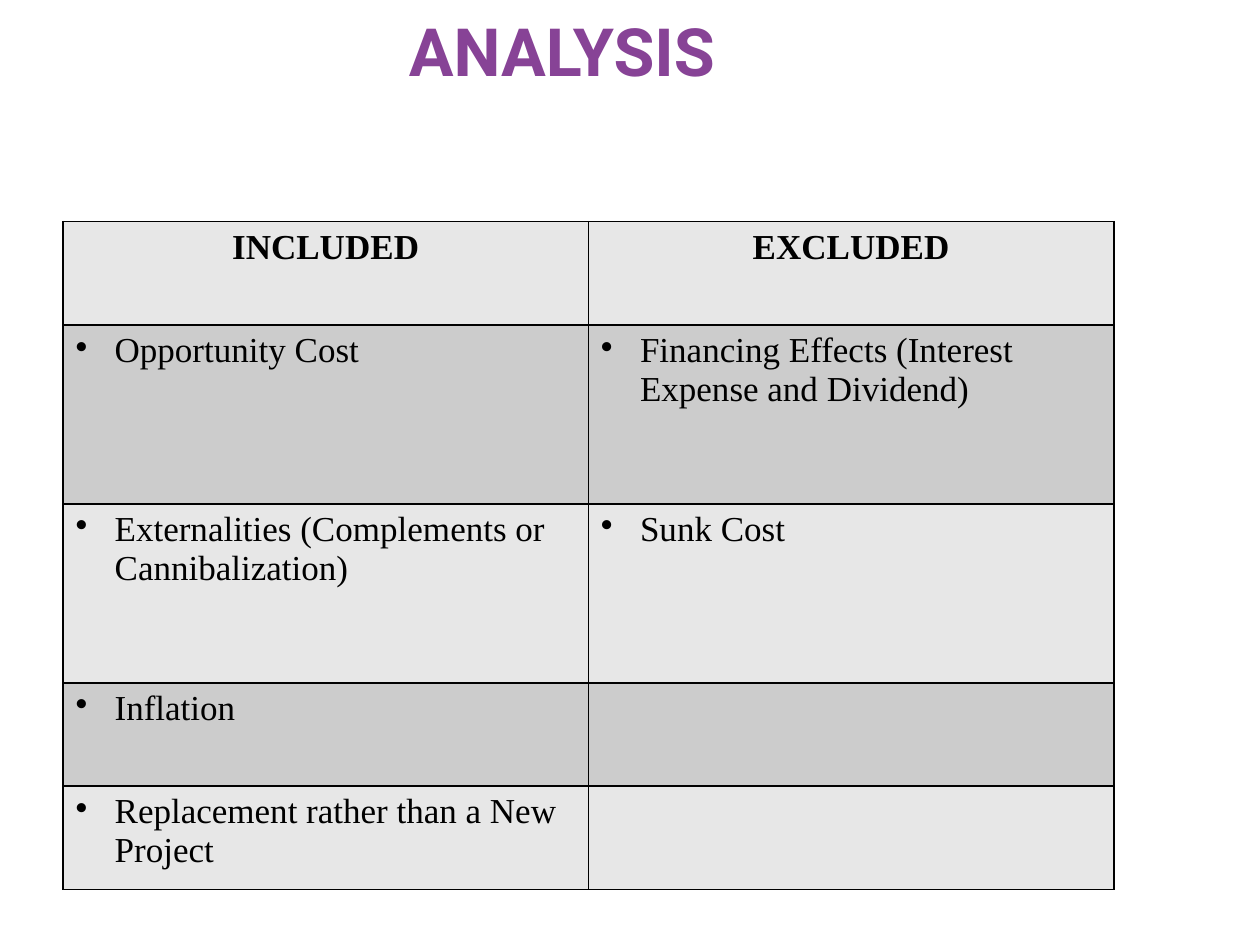
"""Build the ANALYSIS slide with its table of included and excluded items."""
from lxml import etree
from pptx import Presentation, util as u
from pptx.dml.color import RGBColor
from pptx.enum import text
from pptx.oxml.ns import qn

HEAD = "ANALYSIS"
ROWS = [
    (0.82, "INCLUDED", "EXCLUDED"),
    (1.42, "Opportunity Cost", "Financing Effects (Interest Expense and Dividend)"),
    (1.42, "Externalities (Complements or Cannibalization)", "Sunk Cost"),
    (0.82, "Inflation", ""),
    (0.82, "Replacement rather than a New Project", ""),
]
COLORS = {"title": "874396", "ink": "000000", "light": "E7E7E7", "dark": "CCCCCC"}
WIDE = 4.17


def style(para, face, size, color, bold):
    font = para.font
    font.name, font.size, font.bold = face, u.Pt(size), bold
    font.color.rgb = RGBColor.from_string(COLORS[color])


def bullet(para):
    props = para._p.get_or_add_pPr()
    props.set("marL", str(u.Inches(0.31)))
    props.set("indent", str(u.Inches(-0.31)))
    mark = etree.Element(qn("a:buChar"), char="•")
    props.insert(0, mark)


def border(cell):
    props = cell._tc.get_or_add_tcPr()
    for spot, side in enumerate("LRTB"):
        line = etree.Element(qn("a:ln" + side), w=str(u.Pt(1)))
        fill = etree.SubElement(line, qn("a:solidFill"))
        etree.SubElement(fill, qn("a:srgbClr"), val=COLORS["ink"])
        props.insert(spot, line)


def title(slide):
    box = slide.shapes.add_textbox(*map(u.Inches, (0.5, -0.02, 7.92, 0.73)))
    frame = box.text_frame
    frame.word_wrap = True
    frame.vertical_anchor = text.MSO_ANCHOR.BOTTOM
    frame.margin_left = frame.margin_right = u.Inches(0.05)
    frame.margin_top = frame.margin_bottom = 0
    para = frame.paragraphs[0]
    para.text = HEAD
    para.alignment = text.PP_ALIGN.CENTER
    style(para, "Roboto", 38, "title", True)


def grid(slide):
    tall = sum(row[0] for row in ROWS)
    area = map(u.Inches, (0.5, 1.76, 2 * WIDE, tall))
    table = slide.shapes.add_table(len(ROWS), 2, *area).table
    for col in table.columns:
        col.width = u.Inches(WIDE)
    for r, (high, *words) in enumerate(ROWS):
        table.rows[r].height = u.Inches(high)
        for c, word in enumerate(words):
            cell = table.cell(r, c)
            cell.fill.solid()
            tone = COLORS["dark" if r % 2 else "light"]
            cell.fill.fore_color.rgb = RGBColor.from_string(tone)
            border(cell)
            para = cell.text_frame.paragraphs[0]
            para.text = word
            style(para, "Times New Roman", 20, "ink", r == 0)
            if r == 0:
                para.alignment = text.PP_ALIGN.CENTER
            elif word:
                bullet(para)


def main():
    deck = Presentation()
    deck.slide_width, deck.slide_height = u.Inches(10), u.Inches(7.5)
    slide = deck.slides.add_slide(deck.slide_layouts[6])
    title(slide)
    grid(slide)
    deck.save("out.pptx")


if __name__ == "__main__":
    main()
